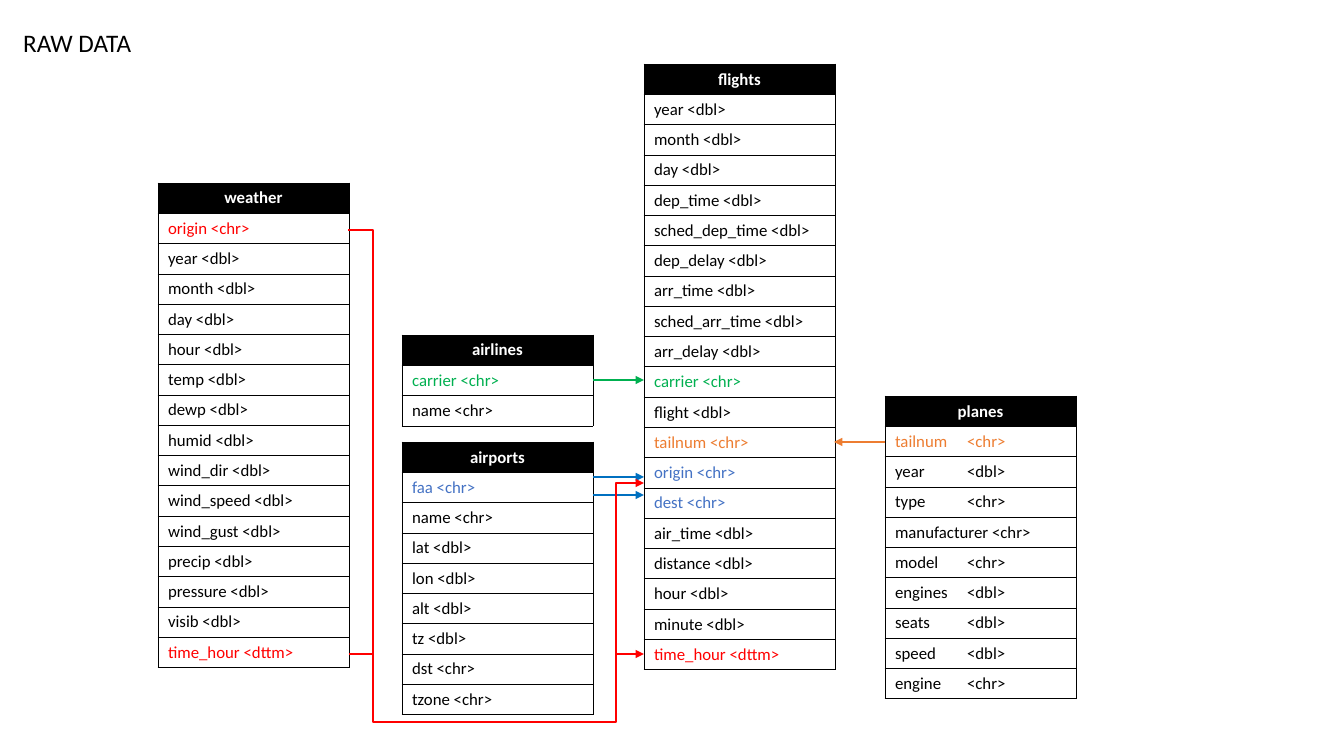
"""Draw the raw data tables and the keys that link them."""
import pptx
import pptx.dml.color
import pptx.enum.shapes
import pptx.enum.text
import pptx.oxml.ns
import pptx.util
import lxml.etree

RGB = pptx.dml.color.RGBColor
BLACK = RGB(0x00, 0x00, 0x00)
WHITE = RGB(0xFF, 0xFF, 0xFF)
RED = RGB(0xFF, 0x00, 0x00)
GREEN = RGB(0x00, 0xB0, 0x50)
ORANGE = RGB(0xED, 0x7D, 0x31)
BLUE = RGB(0x44, 0x72, 0xC4)
NAVY = RGB(0x00, 0x70, 0xC0)
ALIGN = pptx.enum.text.PP_ALIGN
WIDE, ROW, TAB = 191, 30, 72


def px(num):
    return pptx.util.Emu(round(num * 914400 / 100.8))


def node(base, tag, **attrs):
    return lxml.etree.SubElement(base, pptx.oxml.ns.qn(tag), attrs)


class Board:
    def __init__(self, slide):
        self.slide = slide
        self.font = "Calibri"

    def style(self, para, size, color, bold=False):
        font = para.font
        font.name, font.size, font.bold = self.font, pptx.util.Pt(size), bold
        font.color.rgb = color

    def title(self, text, left, top, width, height):
        shape = self.slide.shapes.title
        shape.left, shape.top = px(left), px(top)
        shape.width, shape.height = px(width), px(height)
        frame = shape.text_frame
        frame.text = text
        frame.word_wrap = False
        frame.auto_size = pptx.enum.text.MSO_AUTO_SIZE.SHAPE_TO_FIT_TEXT
        frame.vertical_anchor = pptx.enum.text.MSO_ANCHOR.TOP
        frame.paragraphs[0].alignment = ALIGN.LEFT
        self.style(frame.paragraphs[0], 18, BLACK)

    def cell(self, cell, text, color, fill, bold=False):
        cell.text = text
        para = cell.text_frame.paragraphs[0]
        para.alignment = ALIGN.CENTER if bold else ALIGN.LEFT
        self.style(para, 12, color, bold)
        if "\t" in text:
            stops = lxml.etree.Element(pptx.oxml.ns.qn("a:tabLst"))
            node(stops, "a:tab", pos=str(px(TAB)), algn="l")
            para._p.pPr.insert(0, stops)
        props = cell._tc.get_or_add_tcPr()
        for side in "LRTB":
            edge = node(props, "a:ln" + side, w=str(pptx.util.Pt(0.5)))
            node(node(edge, "a:solidFill"), "a:srgbClr", val=str(BLACK))
        cell.fill.solid()
        cell.fill.fore_color.rgb = fill

    def table(self, name, left, top, fields, keys):
        size = len(fields) + 1
        table = self.slide.shapes.add_table(
            size, 1, px(left), px(top), px(WIDE), px(ROW * size)).table
        table.horz_banding = False
        for row in table.rows:
            row.height = px(ROW)
        self.cell(table.cell(0, 0), name, WHITE, BLACK, True)
        for num, field in enumerate(fields, 1):
            color = keys.get(field.split()[0], BLACK)
            self.cell(table.cell(num, 0), field, color, WHITE)

    def stroke(self, shape, color, arrow):
        shape.line.color.rgb = color
        shape.line.width = pptx.util.Pt(1)
        if arrow:
            node(shape.line._get_or_add_ln(), "a:tailEnd", type="triangle")

    def link(self, start, end, y, color):
        line = self.slide.shapes.add_connector(
            pptx.enum.shapes.MSO_CONNECTOR.STRAIGHT,
            px(start), px(y), px(end), px(y))
        self.stroke(line, color, True)
        node(line._element.spPr, "a:effectLst")

    def route(self, points, color, arrow=True):
        spots = [(px(x), px(y)) for x, y in points]
        build = self.slide.shapes.build_freeform(*spots[0])
        build.add_line_segments(spots[1:], close=False)
        shape = build.convert_to_shape()
        shape.fill.background()
        shape.shadow.inherit = False
        self.stroke(shape, color, arrow)


TABLES = [
    ("airlines", 402, 335, ["carrier <chr>", "name <chr>"],
     {"carrier": GREEN}),
    ("planes", 885, 396,
     ["tailnum\t<chr>", "year\t<dbl>", "type\t<chr>", "manufacturer <chr>",
      "model\t<chr>", "engines\t<dbl>", "seats\t<dbl>", "speed\t<dbl>",
      "engine\t<chr>"],
     {"tailnum": ORANGE}),
    ("flights", 644, 64,
     ["year <dbl>", "month <dbl>", "day <dbl>", "dep_time <dbl>",
      "sched_dep_time <dbl>", "dep_delay <dbl>", "arr_time <dbl>",
      "sched_arr_time <dbl>", "arr_delay <dbl>", "carrier <chr>",
      "flight <dbl>", "tailnum <chr>", "origin <chr>", "dest <chr>",
      "air_time <dbl>", "distance <dbl>", "hour <dbl>", "minute <dbl>",
      "time_hour <dttm>"],
     {"carrier": GREEN, "tailnum": ORANGE, "origin": BLUE, "dest": BLUE,
      "time_hour": RED}),
    ("weather", 158, 183,
     ["origin <chr>", "year <dbl>", "month <dbl>", "day <dbl>", "hour <dbl>",
      "temp <dbl>", "dewp <dbl>", "humid <dbl>", "wind_dir <dbl>",
      "wind_speed <dbl>", "wind_gust <dbl>", "precip <dbl>",
      "pressure <dbl>", "visib <dbl>", "time_hour <dttm>"],
     {"origin": RED, "time_hour": RED}),
    ("airports", 402, 442,
     ["faa <chr>", "name <chr>", "lat <dbl>", "lon <dbl>", "alt <dbl>",
      "tz <dbl>", "dst <chr>", "tzone <chr>"],
     {"faa": BLUE}),
]
LINKS = [(593, 644, 380, GREEN), (885, 834, 442, ORANGE),
         (593, 644, 477, NAVY), (593, 644, 495, NAVY)]

deck = pptx.Presentation()
deck.slide_width, deck.slide_height = px(1344), px(756)
board = Board(deck.slides.add_slide(deck.slide_layouts[5]))
board.title("RAW DATA", 13, 22, 129, 40)
for entry in TABLES:
    board.table(*entry)
for entry in LINKS:
    board.link(*entry)
board.route([(349, 654), (373, 654), (373, 722), (616, 722), (616, 654),
             (644, 654)], RED)
board.route([(373, 661), (373, 230), (348, 230)], RED, False)
board.route([(616, 694), (616, 483), (644, 483)], RED)
deck.save("out.pptx")
